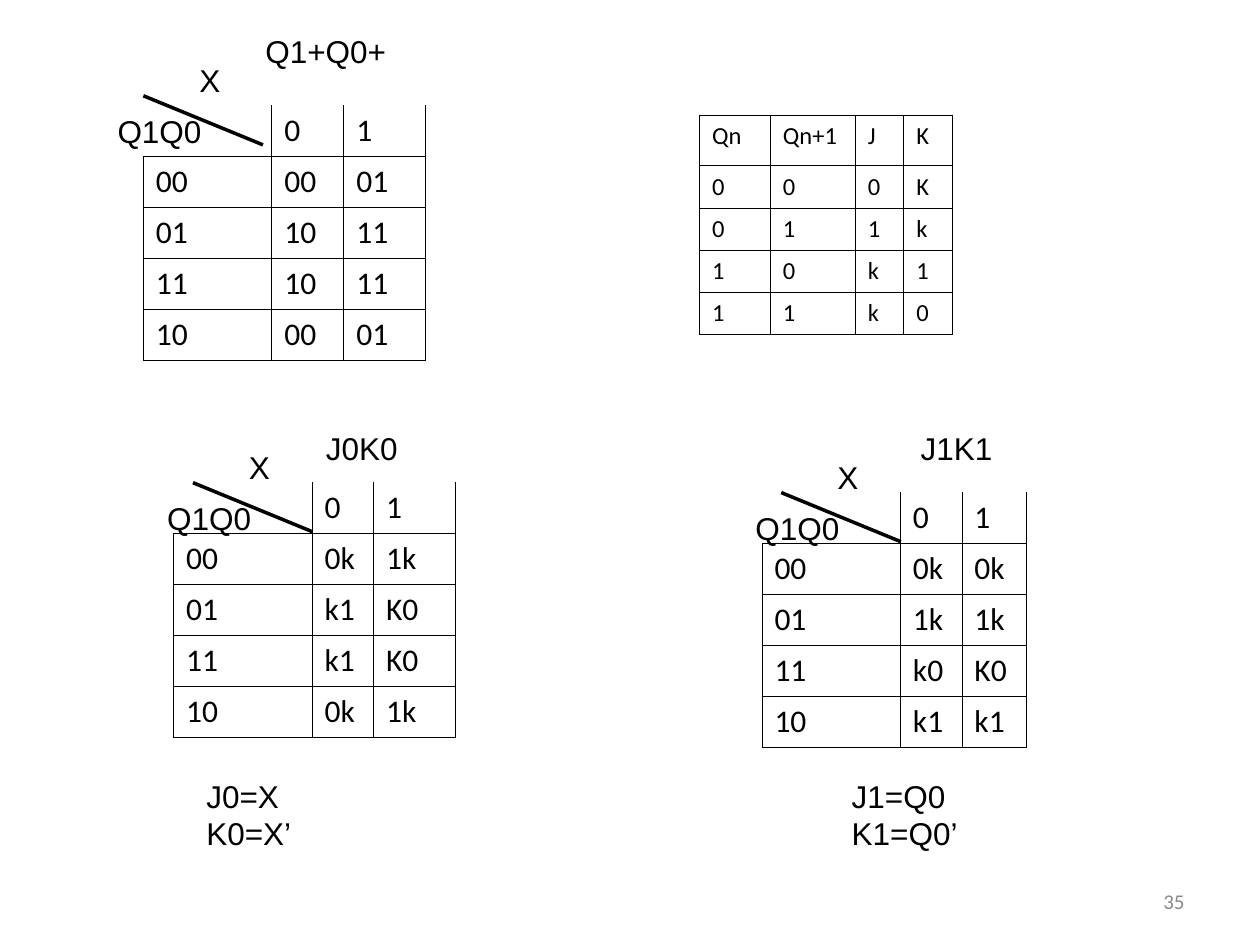
from lxml import etree
from pptx import Presentation
from pptx import util as u
from pptx.dml.color import RGBColor
from pptx.enum import shapes, text
from pptx.oxml import ns

BLACK = "000000"
MAP_ROW = 1.03
STATES = ["00", "01", "11", "10"]

# table left and top, column widths, diagonal start, caption with its place and width, cells
MAPS = [
    ((2.89, 2.12), (2.59, 1.45, 1.65), (2.89, 1.93), ("Q1+Q0+", 5.1, 0.53, 2.97),
     ["00 01", "10 11", "10 11", "00 01"]),
    ((15.36, 9.92), (2.79, 1.24, 1.3), (15.75, 9.93), ("J1K1", 18.31, 8.53, 1.96),
     ["0k 0k", "1k 1k", "k0 K0", "k1 k1"]),
    ((3.5, 9.72), (2.79, 1.24, 1.65), (3.89, 9.73), ("J0K0", 6.32, 8.53, 1.96),
     ["0k 1k", "k1 K0", "k1 K0", "0k 1k"]),
]
EXCITATION = ["Qn Qn+1 J K", "0 0 0 K", "0 1 1 k", "1 0 k 1", "1 1 k 0"]


def color(value):
    return RGBColor.from_string(value)


def format_text(frame, size, font, value=BLACK):
    for para in frame.paragraphs:
        for span in para.runs:
            span.font.size = u.Pt(size)
            span.font.name = font
            span.font.color.rgb = color(value)


def set_borders(cell, sides):
    """Draw thin black borders on the given sides (of "LRTB") and clear the others."""
    properties = cell._tc.get_or_add_tcPr()
    for index, side in enumerate("LRTB"):
        line = etree.Element(ns.qn(f"a:ln{side}"), w=str(u.Pt(0.45)))
        if side in sides:
            fill = etree.SubElement(line, ns.qn("a:solidFill"))
            etree.SubElement(fill, ns.qn("a:srgbClr"), val=BLACK)
        else:
            etree.SubElement(line, ns.qn("a:noFill"))
        properties.insert(index, line)


def add_grid(page, left, top, widths, heights, rows, size, open_header=False):
    """Add a ruled table; an open header has no top edge and no outer left edge."""
    frame = page.shapes.add_table(len(rows), len(widths), u.Cm(left), u.Cm(top),
                                  u.Cm(sum(widths)), u.Cm(sum(heights)))
    table = frame.table
    table.first_row = table.horz_banding = False
    for column, width in zip(table.columns, widths):
        column.width = u.Cm(width)
    for row, height in zip(table.rows, heights):
        row.height = u.Cm(height)
    for r, values in enumerate(rows):
        for c, value in enumerate(values):
            cell = table.cell(r, c)
            cell.text = value
            format_text(cell.text_frame, size, "Calibri")
            cell.fill.background()
            sides = "LRTB"
            if open_header and r == 0:
                sides = "LRB" if c else "RB"
            set_borders(cell, sides)


def add_label(page, value, left, top, width, height=1.02):
    box = page.shapes.add_textbox(u.Cm(left), u.Cm(top), u.Cm(width), u.Cm(height))
    frame = box.text_frame
    frame.word_wrap = False
    frame.auto_size = text.MSO_AUTO_SIZE.SHAPE_TO_FIT_TEXT
    frame.text = value
    format_text(frame, 18, "Arial")


def add_diagonal(page, left, top):
    line = page.shapes.add_connector(shapes.MSO_CONNECTOR.STRAIGHT, u.Cm(left + 2.41),
                                     u.Cm(top + 0.99), u.Cm(left), u.Cm(top))
    line.line.color.rgb = color(BLACK)
    line.line.width = u.Pt(2)
    etree.SubElement(line._element.spPr, ns.qn("a:effectLst"))


def add_map(page, origin, widths, corner, caption, cells):
    """Add a Karnaugh map with its split corner labels and caption."""
    rows = [["", "0", "1"]] + [[state, *row.split()] for state, row in zip(STATES, cells)]
    add_grid(page, *origin, widths, [MAP_ROW] * len(rows), rows, 18, open_header=True)
    left, top = corner
    add_diagonal(page, left, top)
    add_label(page, "Q1Q0", left - 0.77, top + 0.2, 2.2)
    add_label(page, "X", left + 0.88, top - 0.83, 0.92)
    add_label(page, *caption)


def add_page_number(page, value):
    box = page.shapes.add_textbox(u.Cm(18.2), u.Cm(17.65), u.Cm(5.93), u.Cm(1.02))
    frame = box.text_frame
    frame.word_wrap = True
    frame.vertical_anchor = text.MSO_ANCHOR.MIDDLE
    frame.text = value
    frame.paragraphs[0].alignment = text.PP_ALIGN.RIGHT
    format_text(frame, 12, "Calibri", "898989")


def main():
    deck = Presentation()
    deck.slide_width, deck.slide_height = u.Cm(25.4), u.Cm(19.05)
    page = deck.slides.add_slide(deck.slide_layouts.get_by_name("Blank"))
    for karnaugh_map in MAPS:
        add_map(page, *karnaugh_map)
    add_grid(page, 14.1, 2.32, (1.43, 1.71, 0.98, 0.98), [1.02] + [0.85] * 4,
             [row.split() for row in EXCITATION], 14)
    add_label(page, "J0=X\nK0=X’", 3.91, 15.53, 2.5, 1.78)
    add_label(page, "J1=Q0\nK1=Q0’", 16.92, 15.53, 2.8, 1.78)
    add_page_number(page, "35")
    deck.save("out.pptx")


if __name__ == "__main__":
    main()
